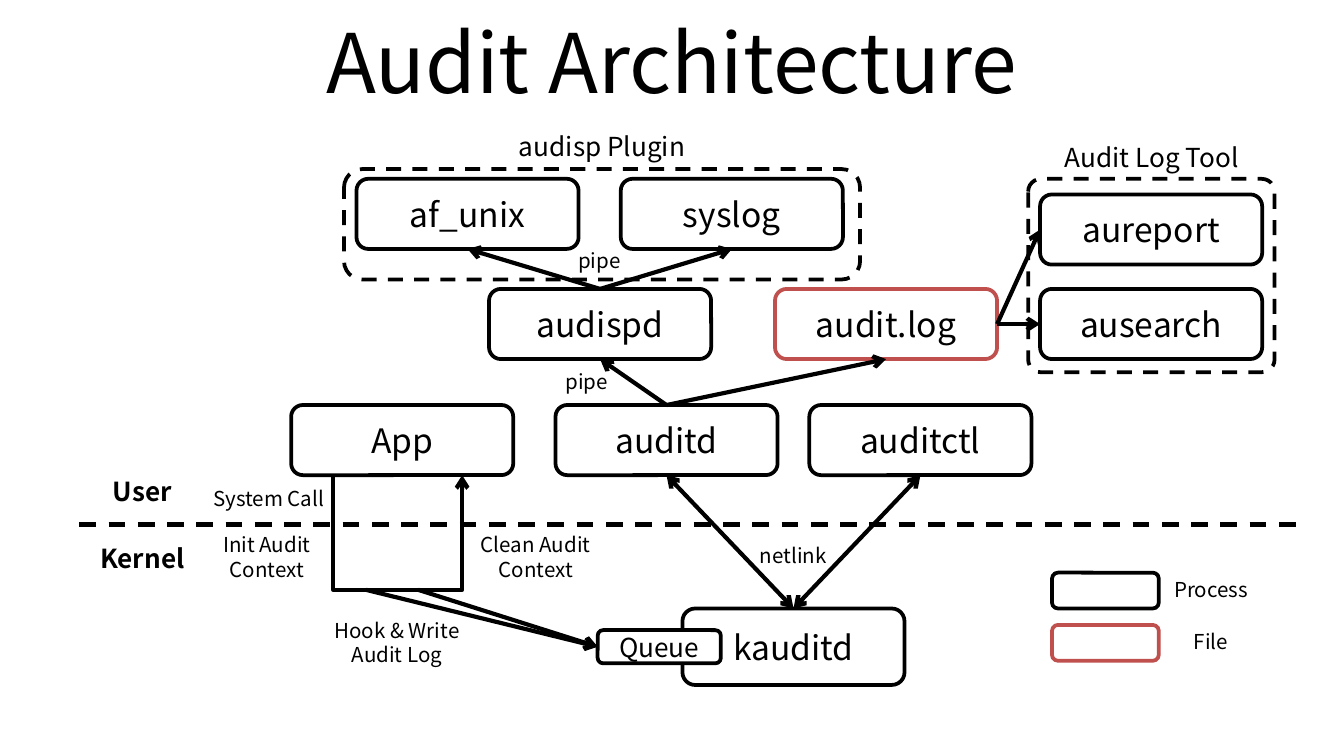
from dataclasses import dataclass
from typing import Optional, Union

from lxml import etree
from pptx import Presentation
from pptx.dml import color
from pptx.enum import dml, shapes, text
from pptx.oxml import ns
from pptx.util import Pt

HUES = {"ink": "000000", "paper": "FFFFFF", "file": "C0504D"}
FONT = "Noto Sans CJK KR"
WIDE, HIGH = 119, 37.6
TOP, LEFT, BASE, RIGHT = range(4)


@dataclass
class Box:
    name: str
    x: float
    y: float
    w: float = WIDE
    h: float = HIGH
    size: float = 18
    edge: str = "ink"
    dash: bool = False
    bend: Optional[float] = None


@dataclass
class Label:
    words: str
    x: float
    y: float
    w: float = 79.2
    h: float = 20.6
    size: float = 11
    bold: bool = False
    mid: bool = False


@dataclass
class Link:
    start: Union[str, tuple]
    exit: int
    goal: str
    entry: int
    both: bool = False


BOXES = [
    Box("App", 156, 217),
    Box("auditd", 297.6, 217),
    Box("auditctl", 433.6, 217),
    Box("kauditd", 365.6, 326, h=41),
    Box("audispd", 262, 154.8),
    Box("af_unix", 191, 95.8),
    Box("syslog", 332.6, 95.8),
    Box("audit.log", 415.2, 154.8, edge="file"),
    Box("aureport", 557.2, 104.2),
    Box("ausearch", 557.2, 154.8),
    Box("Queue", 320.2, 337.6, 66, 17.8, size=14),
    Box("", 563.6, 306.8, 57.2, 19.2),
    Box("", 563.6, 334.8, 57.2, 19.2, edge="file"),
]
GROUPS = [
    Box("", 184.3, 90.6, 276.5, 59.2, dash=True),
    Box("", 550.8, 95.8, 132, 103.6, dash=True, bend=0.066),
]
LABELS = [
    Label("Audit Architecture", 36, -1.4, 648, 67.7, size=44, mid=True),
    Label("audisp Plugin", 229.7, 66.2, 185.8, 24.5, size=14),
    Label("Audit Log Tool", 545, 72.4, 144, 24.5, size=14),
    Label("User", 36.7, 251.3, h=24.5, size=14, bold=True),
    Label("Kernel", 36.7, 286.9, h=24.5, size=14, bold=True),
    Label("System Call", 104.4, 257),
    Label("Init Audit\nContext", 108.8, 281.5, 68.4, 33.8),
    Label("Clean Audit\nContext", 247, 281.5, 79.9, 33.8),
    Label("Hook & Write\nAudit Log", 144.7, 327.4, 136, 33.8),
    Label("netlink", 385.4, 287.3),
    Label("pipe", 274.8, 194.2),
    Label("pipe", 281.6, 129.4),
    Label("Process", 609.2, 305.7),
    Label("File", 609.2, 333.5),
]
LINKS = [
    Link("auditd", BASE, "kauditd", TOP, both=True),
    Link("auditctl", BASE, "kauditd", TOP, both=True),
    Link("auditd", TOP, "audispd", BASE),
    Link("auditd", TOP, "audit.log", BASE),
    Link("audispd", TOP, "af_unix", BASE),
    Link("audispd", TOP, "syslog", BASE),
    Link("audit.log", RIGHT, "aureport", LEFT),
    Link("audit.log", RIGHT, "ausearch", LEFT),
    Link((196, 316), TOP, "Queue", LEFT),
    Link((224, 316), TOP, "Queue", LEFT),
]


def hue(key: str) -> color.RGBColor:
    return color.RGBColor.from_string(HUES[key])


def write(frame, words: str, size: float, bold: bool = False) -> None:
    frame.text = words
    for para in frame.paragraphs:
        para.alignment = text.PP_ALIGN.CENTER
        for run in para.runs:
            font = run.font
            font.name, font.size, font.bold = FONT, Pt(size), bold
            font.color.rgb = hue("ink")


def stroke(item, width: float, key: str = "ink", dash: bool = False) -> None:
    item.line.width = Pt(width)
    item.line.color.rgb = hue(key)
    if dash:
        item.line.dash_style = dml.MSO_LINE.DASH


def tip(item, *ends: str) -> None:
    for end in ends:
        node = etree.SubElement(item.line._get_or_add_ln(), ns.qn(f"a:{end}"))
        node.set("type", "arrow")


def draw_box(tree, box: Box):
    item = tree.add_shape(shapes.MSO_SHAPE.ROUNDED_RECTANGLE,
                          Pt(box.x), Pt(box.y), Pt(box.w), Pt(box.h))
    item.shadow.inherit = False
    if box.bend is not None:
        item.adjustments[0] = box.bend
    if box.dash:
        item.fill.background()
    else:
        item.fill.solid()
        item.fill.fore_color.rgb = hue("paper")
    stroke(item, 2, box.edge, box.dash)
    if box.name:
        item.text_frame.vertical_anchor = text.MSO_ANCHOR.MIDDLE
        write(item.text_frame, box.name, box.size)
    return item


def draw_label(tree, label: Label) -> None:
    item = tree.add_textbox(Pt(label.x), Pt(label.y), Pt(label.w), Pt(label.h))
    frame = item.text_frame
    frame.word_wrap = True
    if label.mid:
        frame.vertical_anchor = text.MSO_ANCHOR.MIDDLE
    write(frame, label.words, label.size, label.bold)


def draw_line(tree, x1: float, y1: float, x2: float, y2: float, dash: bool = False):
    item = tree.add_connector(shapes.MSO_CONNECTOR.STRAIGHT, Pt(x1), Pt(y1), Pt(x2), Pt(y2))
    stroke(item, 2.25, dash=dash)
    etree.SubElement(item._element.spPr, ns.qn("a:effectLst"))
    return item


def draw_link(tree, link: Link, nodes: dict) -> None:
    free = isinstance(link.start, tuple)
    x, y = link.start if free else (0, 0)
    item = draw_line(tree, x, y, x, y)
    if not free:
        item.begin_connect(nodes[link.start], link.exit)
    item.end_connect(nodes[link.goal], link.entry)
    tip(item, *(("headEnd", "tailEnd") if link.both else ("tailEnd",)))


def draw_call(tree, x1: float, x2: float, y1: float, y2: float) -> None:
    pen = tree.build_freeform(Pt(x1), Pt(y1))
    pen.add_line_segments([(Pt(x), Pt(y)) for x, y in ((x1, y2), (x2, y2), (x2, y1))], close=False)
    item = pen.convert_to_shape()
    item.shadow.inherit = False
    item.fill.background()
    stroke(item, 2.25)
    tip(item, "tailEnd")


def main() -> None:
    """Build the audit architecture slide."""
    deck = Presentation()
    deck.slide_width, deck.slide_height = Pt(720), Pt(405)
    tree = deck.slides.add_slide(deck.slide_layouts[6]).shapes
    draw_line(tree, 42.5, 281, 694.8, 281, dash=True)
    nodes = {box.name: draw_box(tree, box) for box in BOXES}
    for group in GROUPS:
        draw_box(tree, group)
    for label in LABELS:
        draw_label(tree, label)
    draw_call(tree, 178.6, 247.6, 254.6, 316)
    for link in LINKS:
        draw_link(tree, link, nodes)
    deck.save("out.pptx")


if __name__ == "__main__":
    main()
